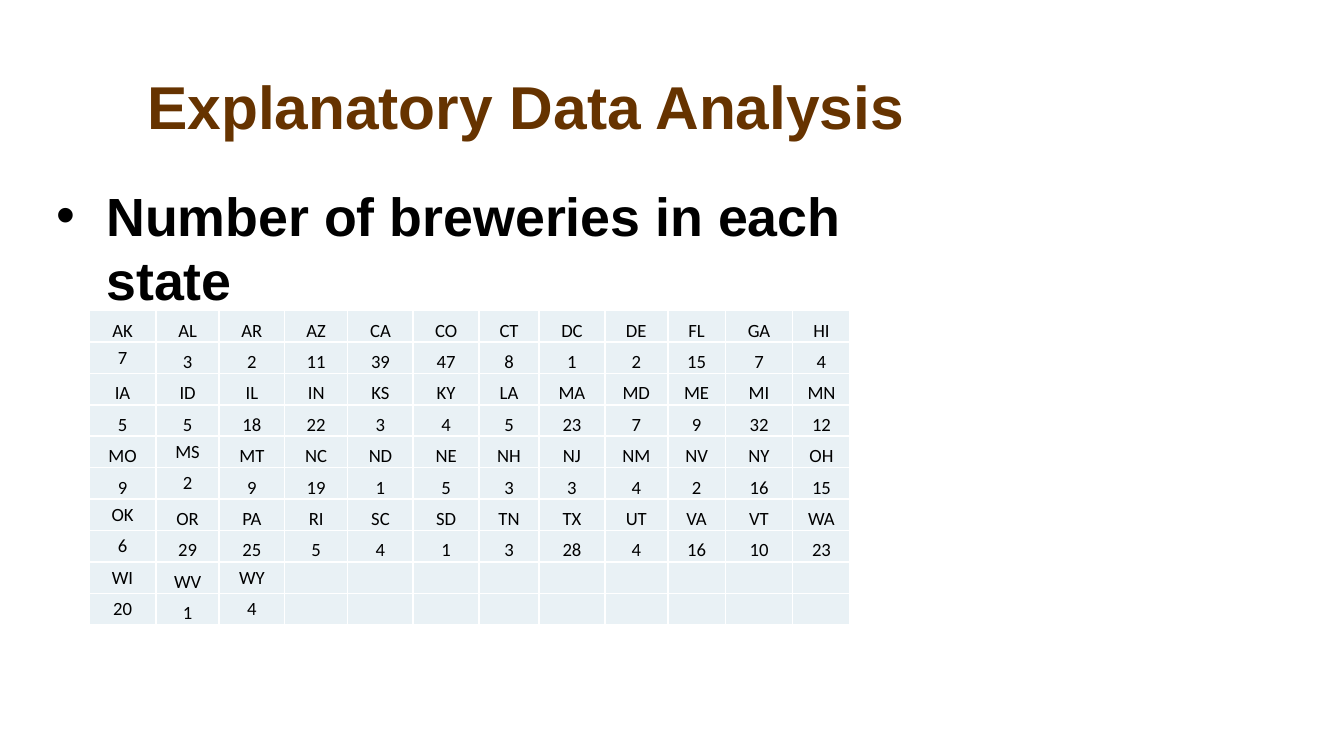
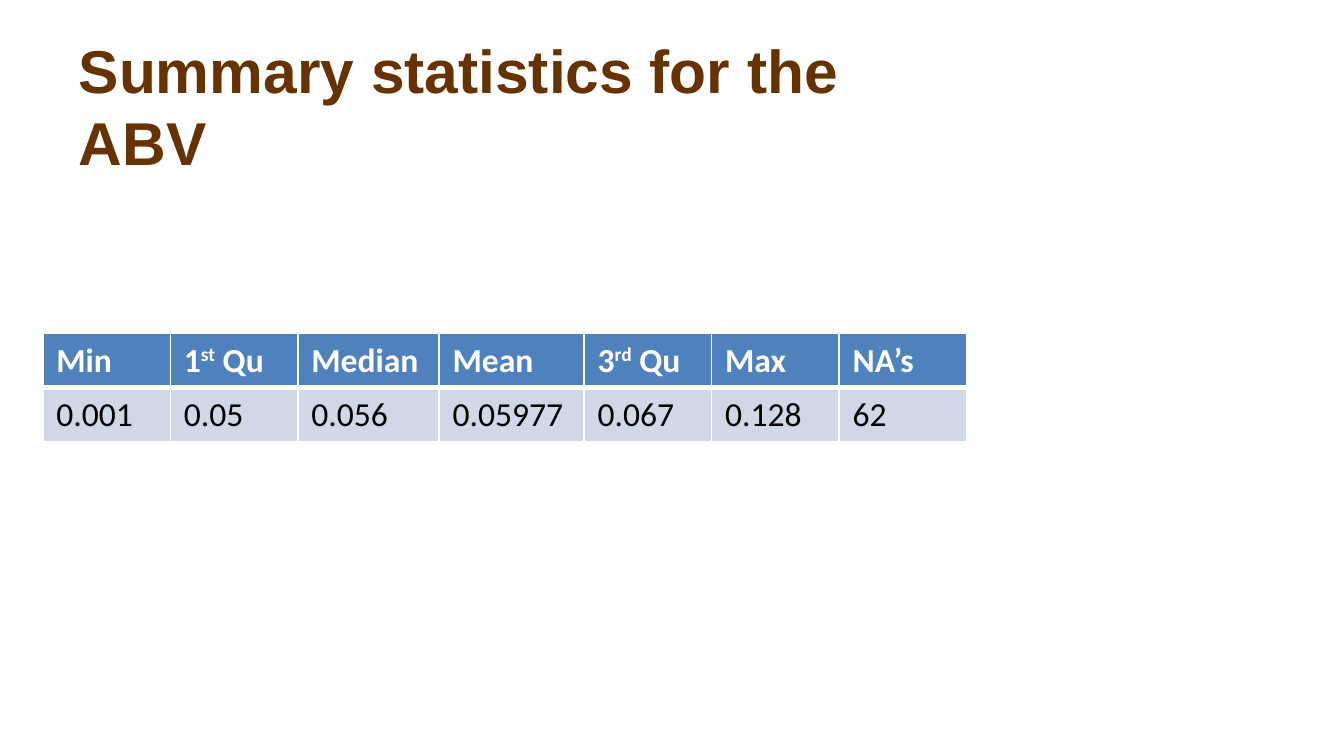
from dataclasses import dataclass

from lxml import etree
from pptx import Presentation
from pptx.dml.color import RGBColor
from pptx.enum.text import MSO_ANCHOR, PP_ALIGN
from pptx.oxml.ns import qn
from pptx.slide import Slide
from pptx.table import _Cell
from pptx.text.text import TextFrame, _Paragraph
from pptx.util import Cm, Length, Pt

BROWN = RGBColor(0x66, 0x33, 0x00)
BLACK = RGBColor(0x00, 0x00, 0x00)
WHITE = RGBColor(0xFF, 0xFF, 0xFF)
PALE_BLUE = RGBColor(0xE9, 0xF1, 0xF5)
HEADER_BLUE = RGBColor(0x4F, 0x81, 0xBD)
BAND_BLUE = RGBColor(0xD0, 0xD8, 0xE8)

LEFT, CENTER = PP_ALIGN.LEFT, PP_ALIGN.CENTER
TOP, MIDDLE, BOTTOM = MSO_ANCHOR.TOP, MSO_ANCHOR.MIDDLE, MSO_ANCHOR.BOTTOM

HEADING_FONT = "Arial"
TABLE_FONT = "Calibri"


@dataclass(frozen=True)
class Box:
    left: Length
    top: Length
    width: Length
    height: Length


@dataclass(frozen=True)
class CellStyle:
    fill: RGBColor
    color: RGBColor = BLACK
    size: float = 18
    bold: bool = False
    align: PP_ALIGN = LEFT
    anchor: MSO_ANCHOR = TOP
    margin: Length | None = None
    top_rule: float = 1
    bottom_rule: float = 1


TITLE_BOX = Box(Cm(1.24), Cm(1.19), Cm(17.4), Cm(1.6))
BODY_BOX = Box(Cm(0.81), Cm(3.33), Cm(17.4), Cm(9.32))
BREWERY_BOX = Box(Cm(1.68), Cm(5.87), Cm(14.43), Cm(5.94))
SUMMARY_BOX = Box(Cm(0.81), Cm(6.3), Cm(17.5), Cm(2.06))

BREWERY_COLUMNS = [1.27, 1.19, 1.24, 1.19, 1.24, 1.24, 1.14, 1.24, 1.19, 1.09, 1.27, 1.09]
SUMMARY_COLUMNS = [2.41, 2.41, 2.67, 2.74, 2.41, 2.41, 2.41]

BREWERIES = [
    "AK AL AR AZ CA CO CT DC DE FL GA HI",
    "7 3 2 11 39 47 8 1 2 15 7 4",
    "IA ID IL IN KS KY LA MA MD ME MI MN",
    "5 5 18 22 3 4 5 23 7 9 32 12",
    "MO MS MT NC ND NE NH NJ NM NV NY OH",
    "9 2 9 19 1 5 3 3 4 2 16 15",
    "OK OR PA RI SC SD TN TX UT VA VT WA",
    "6 29 25 5 4 1 3 28 4 16 10 23",
    "WI WV WY",
    "20 1 4",
]
CENTERED_CELLS = {(1, 0), (4, 1), (5, 1), (6, 0), (7, 0), (8, 0), (8, 2), (9, 0), (9, 2)}

SUMMARY = [
    ["Min", "1^st^ Qu", "Median", "Mean", "3^rd^ Qu", "Max", "NA’s"],
    ["0.001", "0.05", "0.056", "0.05977", "0.067", "0.128", "62"],
]

BREWERY_STYLE = CellStyle(PALE_BLUE, size=10, align=CENTER, anchor=BOTTOM, margin=Cm(0))
BREWERY_CENTERED = CellStyle(PALE_BLUE, size=10, align=CENTER, anchor=MIDDLE, margin=Cm(0))
SUMMARY_STYLES = [
    CellStyle(HEADER_BLUE, color=WHITE, bold=True, bottom_rule=3),
    CellStyle(BAND_BLUE, top_rule=3),
]


def write_text(frame: TextFrame, text: str, *, font: str, size: float, color: RGBColor,
               bold: bool = False, align: PP_ALIGN = LEFT) -> _Paragraph:
    paragraph = frame.paragraphs[0]
    paragraph.alignment = align
    for index, part in enumerate(text.split("^")):
        if not part:
            continue
        run = paragraph.add_run()
        run.text = part
        run.font.name = font
        run.font.size = Pt(size)
        run.font.bold = bold
        run.font.color.rgb = color
        if index % 2:
            run.font._element.set("baseline", "30000")
    if not text:
        ending = etree.SubElement(paragraph._p, qn("a:endParaRPr"))
        ending.set("sz", str(int(size * 100)))
    return paragraph


def add_text(slide: Slide, text: str, box: Box, *, size: float, color: RGBColor,
             align: PP_ALIGN = LEFT, anchor: MSO_ANCHOR = TOP) -> _Paragraph:
    shape = slide.shapes.add_textbox(box.left, box.top, box.width, box.height)
    frame = shape.text_frame
    frame.word_wrap = True
    frame.vertical_anchor = anchor
    return write_text(frame, text, font=HEADING_FONT, size=size, color=color,
                      bold=True, align=align)


def add_title(slide: Slide, text: str, align: PP_ALIGN = LEFT) -> None:
    add_text(slide, text, TITLE_BOX, size=32.4, color=BROWN, align=align, anchor=MIDDLE)


def add_bullet(paragraph: _Paragraph, indent: Length) -> None:
    properties = paragraph._p.get_or_add_pPr()
    properties.set("marL", str(indent))
    properties.set("indent", str(-indent))
    etree.SubElement(properties, qn("a:buFont")).set("typeface", HEADING_FONT)
    etree.SubElement(properties, qn("a:buChar")).set("char", "•")


def set_borders(cell: _Cell, style: CellStyle) -> None:
    properties = cell._tc.get_or_add_tcPr()
    widths = {"a:lnL": 1, "a:lnR": 1, "a:lnT": style.top_rule, "a:lnB": style.bottom_rule}
    for position, (tag, width) in enumerate(widths.items()):
        line = etree.Element(qn(tag), w=str(Pt(width)))
        fill = etree.SubElement(line, qn("a:solidFill"))
        etree.SubElement(fill, qn("a:srgbClr")).set("val", str(WHITE))
        properties.insert(position, line)


def format_cell(cell: _Cell, text: str, style: CellStyle) -> None:
    cell.fill.solid()
    cell.fill.fore_color.rgb = style.fill
    cell.vertical_anchor = style.anchor
    if style.margin is not None:
        cell.margin_left = cell.margin_right = style.margin
        cell.margin_top = cell.margin_bottom = style.margin
    set_borders(cell, style)
    write_text(cell.text_frame, text, font=TABLE_FONT, size=style.size,
               color=style.color, bold=style.bold, align=style.align)


def add_grid(slide: Slide, box: Box, columns: list[float], rows: list[list[str]],
             styles: list[list[CellStyle]]) -> None:
    table = slide.shapes.add_table(len(rows), len(columns), box.left, box.top,
                                   box.width, box.height).table
    table.first_row = False
    table.horz_banding = False
    for column, width in zip(table.columns, columns):
        column.width = Cm(width)
    for row_index, row in enumerate(rows):
        for column_index in range(len(columns)):
            text = row[column_index] if column_index < len(row) else ""
            format_cell(table.cell(row_index, column_index), text,
                        styles[row_index][column_index])


def build_breweries(slide: Slide) -> None:
    add_title(slide, "Explanatory Data Analysis", CENTER)
    paragraph = add_text(slide, "Number of breweries in each state", BODY_BOX,
                         size=28.8, color=BLACK)
    add_bullet(paragraph, Cm(0.95))
    styles = [[BREWERY_CENTERED if (row, column) in CENTERED_CELLS else BREWERY_STYLE
               for column in range(len(BREWERY_COLUMNS))] for row in range(len(BREWERIES))]
    add_grid(slide, BREWERY_BOX, BREWERY_COLUMNS, [row.split() for row in BREWERIES], styles)


def build_summary(slide: Slide) -> None:
    add_title(slide, "Summary statistics for the ABV")
    styles = [[style] * len(SUMMARY_COLUMNS) for style in SUMMARY_STYLES]
    add_grid(slide, SUMMARY_BOX, SUMMARY_COLUMNS, SUMMARY, styles)


def main() -> None:
    presentation = Presentation()
    presentation.slide_width = Cm(25.4)
    presentation.slide_height = Cm(14.29)
    blank_layout = presentation.slide_layouts[6]
    for build in (build_breweries, build_summary):
        build(presentation.slides.add_slide(blank_layout))
    presentation.save("out.pptx")


if __name__ == "__main__":
    main()
